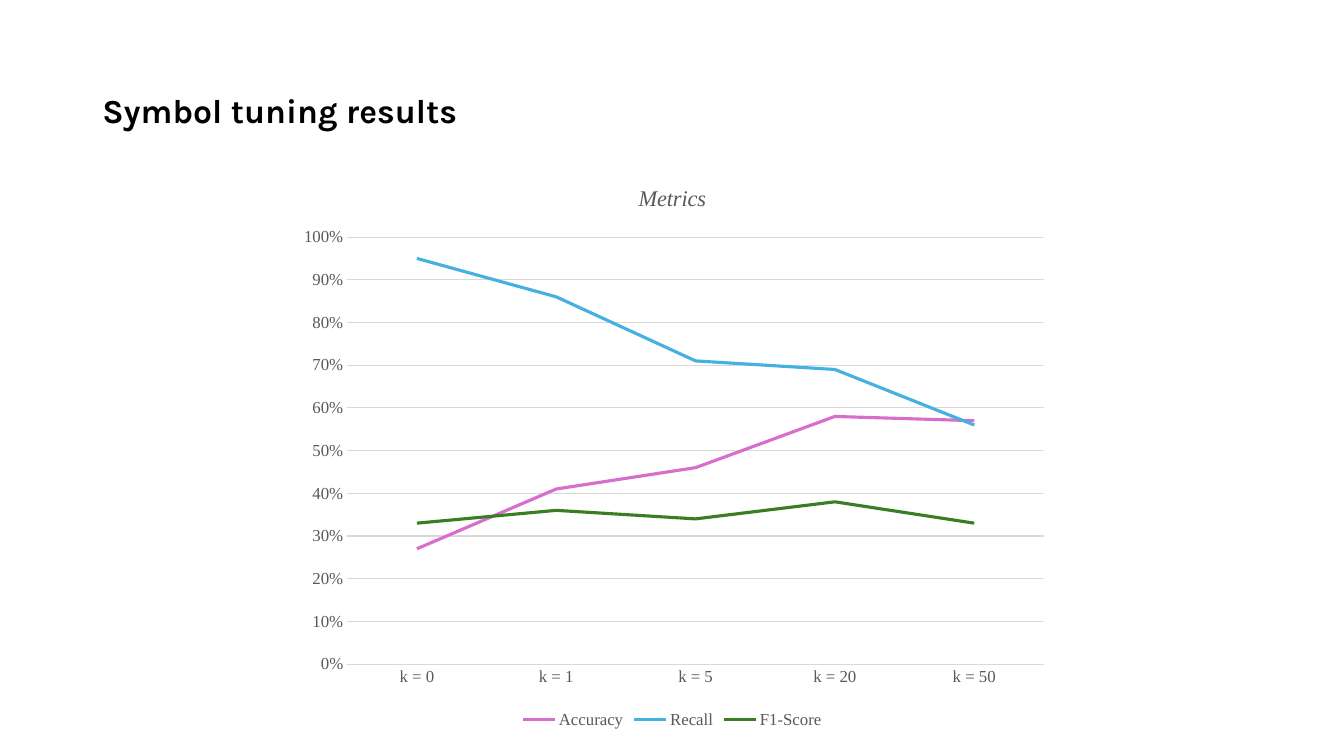
from lxml import etree
from pptx import Presentation
from pptx.chart.data import CategoryChartData
from pptx.dml.color import RGBColor
from pptx.enum.chart import XL_CHART_TYPE as ChartType, XL_LEGEND_POSITION as LegendPosition
from pptx.enum.chart import XL_MARKER_STYLE as MarkerStyle, XL_TICK_MARK as TickMark
from pptx.enum.text import MSO_ANCHOR as Anchor
from pptx.oxml.ns import qn
from pptx.util import Cm, Pt

COLORS = {
    "title": "000000",
    "label": "595959",
    "grid": "D9D9D9",
    "Accuracy": "D86ECC",
    "Recall": "46B1E1",
    "F1-Score": "3B7D23",
}
CHART_FONT = "Times New Roman"
SHOTS = ["k = 0", "k = 1", "k = 5", "k = 20", "k = 50"]
METRICS = {
    "Accuracy": [0.27, 0.41, 0.46, 0.58, 0.57],
    "Recall": [0.95, 0.86, 0.71, 0.69, 0.56],
    "F1-Score": [0.33, 0.36, 0.34, 0.38, 0.33],
}
# Plot area as fractions of the chart box
PLOT = {"x": 0.08, "y": 0.13, "w": 0.9, "h": 0.75}


def color(name):
    return RGBColor.from_string(COLORS[name])


def style_font(font, name, size, shade):
    font.name = name
    font.size = Pt(size)
    font.color.rgb = color(shade)


def style_line(line, shade, width):
    line.color.rgb = color(shade)
    line.width = Pt(width)


def place_plot(chart):
    """Fix the inner plot area within the chart."""
    area = chart.element.find(".//" + qn("c:plotArea"))
    for old in area.findall(qn("c:layout")):
        area.remove(old)
    layout = etree.Element(qn("c:layout"))
    manual = etree.SubElement(layout, qn("c:manualLayout"))
    settings = {"layoutTarget": "inner", "xMode": "edge", "yMode": "edge", **PLOT}
    for tag, value in settings.items():
        etree.SubElement(manual, qn("c:" + tag)).set("val", str(value))
    area.insert(0, layout)


def add_title(page, left, top, width, height):
    box = page.shapes.add_textbox(left, top, width, height)
    frame = box.text_frame
    frame.word_wrap = True
    frame.vertical_anchor = Anchor.MIDDLE
    frame.text = "Symbol tuning results"
    para = frame.paragraphs[0]
    para.line_spacing = 0.9
    span = para.runs[0]
    style_font(span.font, "Karla", 24, "title")
    span.font.bold = True


def add_metrics_chart(page, left, top, width, height):
    data = CategoryChartData(number_format="0%")
    data.categories = SHOTS
    for name, values in METRICS.items():
        data.add_series(name, values)
    chart = page.shapes.add_chart(ChartType.LINE, left, top, width, height, data).chart
    style_font(chart.font, CHART_FONT, 12, "label")

    # Chart title
    title = chart.chart_title
    title.include_in_layout = False
    title.text_frame.text = "Metrics"
    span = title.text_frame.paragraphs[0].runs[0]
    style_font(span.font, CHART_FONT, 16, "label")
    span.font.bold = False
    span.font.italic = True

    # Axes
    for axis in (chart.category_axis, chart.value_axis):
        axis.major_tick_mark = axis.minor_tick_mark = TickMark.NONE
        style_font(axis.tick_labels.font, CHART_FONT, 12, "label")
    style_line(chart.category_axis.format.line, "grid", 0.75)
    scale = chart.value_axis
    scale.minimum_scale, scale.maximum_scale, scale.major_unit = 0, 1, 0.1
    scale.tick_labels.number_format = "0%"
    scale.tick_labels.number_format_is_linked = False
    scale.format.line.fill.background()
    style_line(scale.major_gridlines.format.line, "grid", 0.75)

    # Legend
    chart.has_legend = True
    chart.legend.position = LegendPosition.BOTTOM
    chart.legend.include_in_layout = False
    style_font(chart.legend.font, CHART_FONT, 12, "label")

    # Lines
    plot = chart.plots[0]
    plot.vary_by_categories = False
    for series in plot.series:
        series.smooth = False
        series.marker.style = MarkerStyle.NONE
        style_line(series.format.line, series.name, 2.25)
    place_plot(chart)


def main():
    deck = Presentation()
    deck.slide_width, deck.slide_height = Cm(33.87), Cm(19.05)
    page = deck.slides.add_slide(deck.slide_layouts[6])
    add_title(page, Cm(2.33), Cm(1.01), Cm(29.21), Cm(3.68))
    add_metrics_chart(page, Cm(7.19), Cm(4.11), Cm(19.51), Cm(14.35))
    deck.save("out.pptx")


if __name__ == "__main__":
    main()
